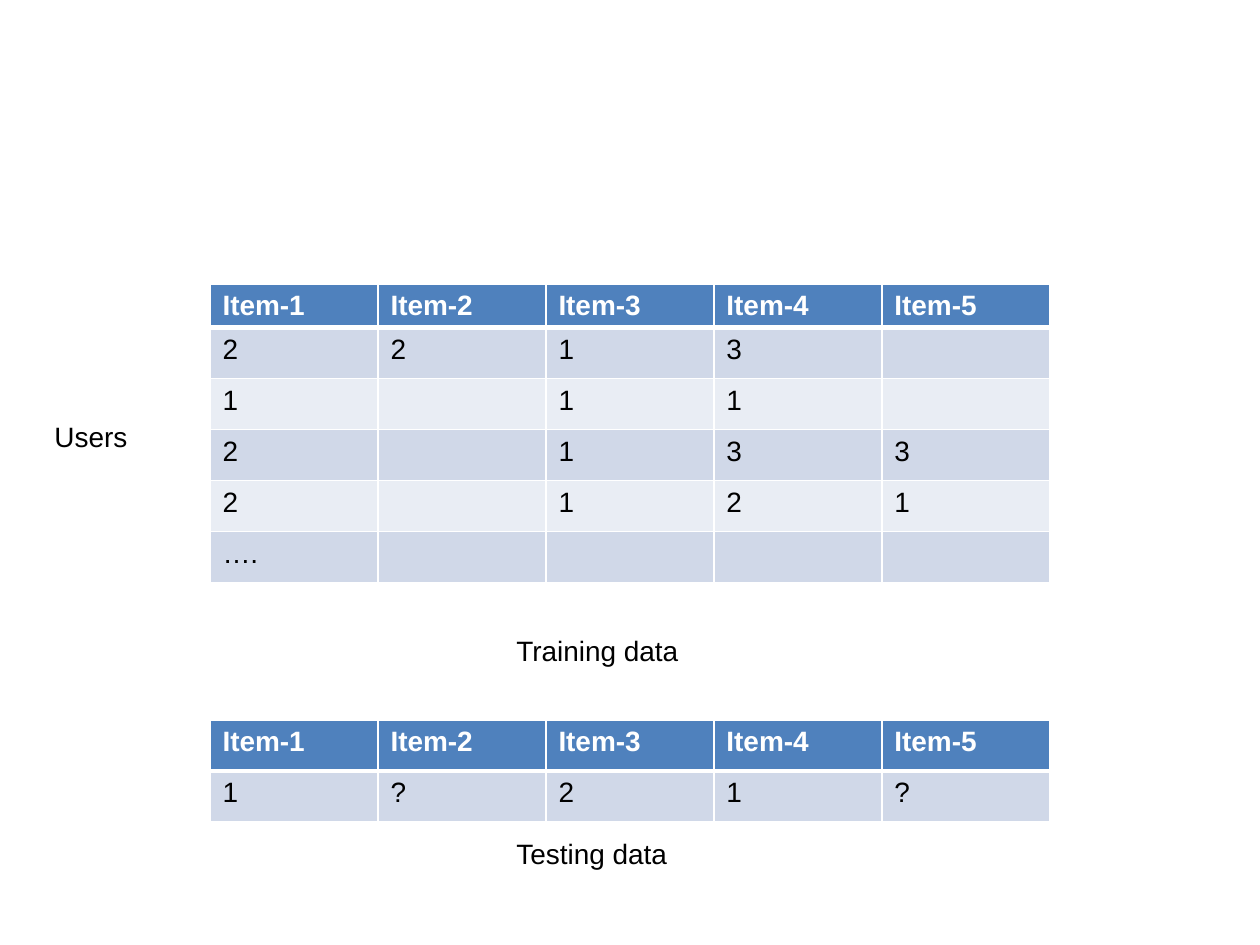
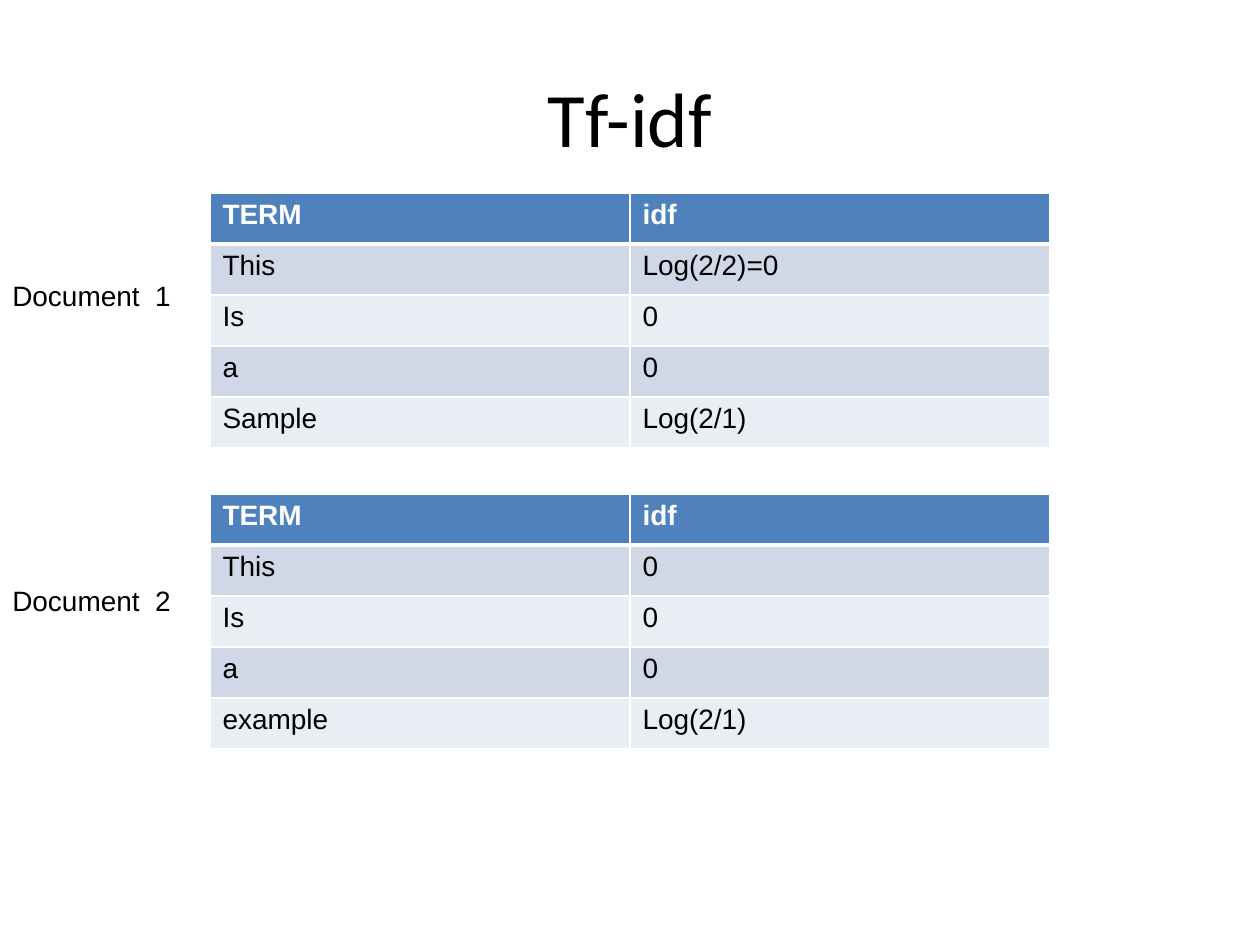
from lxml.etree import SubElement
from pptx import Presentation
from pptx.dml.color import RGBColor
from pptx.enum.text import MSO_ANCHOR, MSO_AUTO_SIZE, PP_ALIGN
from pptx.oxml.ns import qn
from pptx.util import Emu, Pt

PX = 914400 // 126
WHITE, BLACK, HEADER_BLUE = "FFFFFF", "000000", "4F81BD"
BANDS = ["D0D8E8", "E9EDF4"]
BODY = {"name": "Arial", "size": Pt(16), "bold": False, "color": BLACK}
HEADER = BODY | {"bold": True, "color": WHITE}
TITLE = {"name": "Calibri", "size": Pt(44), "bold": False, "color": BLACK}
TABLE_LEFT, TABLE_WIDTH, ROW_HEIGHT = 210, 840, 51
LABEL_HEIGHT = 46


def write(frame, text, style):
    paragraph = frame.paragraphs[0]
    paragraph.text = text
    for font in [paragraph.font] + [run.font for run in paragraph.runs]:
        for key, value in style.items():
            if key == "color":
                font.color.rgb = RGBColor.from_string(value)
            else:
                setattr(font, key, value)


def set_borders(cell, widths):
    """Draw white cell borders; widths maps L, R, T and B to points."""
    properties = cell._tc.get_or_add_tcPr()
    for side, width in widths.items():
        line = SubElement(properties, qn(f"a:ln{side}"), w=str(Pt(width)))
        SubElement(SubElement(line, qn("a:solidFill")), qn("a:srgbClr"), val=WHITE)


ITEMS = [f"Item-{number}" for number in range(1, 6)]
TERMS = ["TERM", "idf"]
SLIDES = [
    {
        "title": None,
        "tables": [
            (284, 43, [ITEMS,
                       ["2", "2", "1", "3", ""],
                       ["1", "", "1", "1", ""],
                       ["2", "", "1", "3", "3"],
                       ["2", "", "1", "2", "1"],
                       ["….", "", "", "", ""]]),
            (720, ROW_HEIGHT, [ITEMS, ["1", "?", "2", "1", "?"]]),
        ],
        "labels": [
            ("Users", 42, 413, 168),
            ("Training data", 504, 627, 336),
            ("Testing data", 504, 830, 336),
        ],
    },
    {
        "title": "Tf-idf",
        "tables": [
            (193, ROW_HEIGHT, [TERMS, ["This", "Log(2/2)=0"], ["Is", "0"],
                               ["a", "0"], ["Sample", "Log(2/1)"]]),
            (494, ROW_HEIGHT, [TERMS, ["This", "0"], ["Is", "0"],
                               ["a", "0"], ["example", "Log(2/1)"]]),
        ],
        "labels": [
            ("Document  1", 0, 272, 189),
            ("Document  2", 0, 577, 189),
        ],
    },
]

deck = Presentation()
deck.slide_width, deck.slide_height = Emu(1260 * PX), Emu(945 * PX)
TITLE_ONLY, BLANK = deck.slide_layouts[5], deck.slide_layouts[6]

for content in SLIDES:
    slide = deck.slides.add_slide(TITLE_ONLY if content["title"] else BLANK)
    slide.background.fill.solid()
    slide.background.fill.fore_color.rgb = RGBColor.from_string(WHITE)

    if content["title"]:
        heading = slide.shapes.title
        heading.left, heading.top = 63 * PX, 38 * PX
        heading.width, heading.height = 1134 * PX, 157 * PX
        heading.text_frame.vertical_anchor = MSO_ANCHOR.MIDDLE
        write(heading.text_frame, content["title"], TITLE)
        heading.text_frame.paragraphs[0].alignment = PP_ALIGN.CENTER

    for top, header_height, rows in content["tables"]:
        column_count = len(rows[0])
        height = header_height + ROW_HEIGHT * (len(rows) - 1)
        table = slide.shapes.add_table(
            len(rows), column_count, TABLE_LEFT * PX, top * PX,
            TABLE_WIDTH * PX, height * PX).table
        for column in table.columns:
            column.width = TABLE_WIDTH // column_count * PX
        for index, values in enumerate(rows):
            is_header = index == 0
            table.rows[index].height = (header_height if is_header else ROW_HEIGHT) * PX
            fill = HEADER_BLUE if is_header else BANDS[(index - 1) % 2]
            widths = {"L": 1, "R": 1, "T": 3 if index == 1 else 1, "B": 3 if is_header else 1}
            for column, value in enumerate(values):
                cell = table.cell(index, column)
                set_borders(cell, widths)
                cell.fill.solid()
                cell.fill.fore_color.rgb = RGBColor.from_string(fill)
                write(cell.text_frame, value, HEADER if is_header else BODY)

    for text, left, top, width in content["labels"]:
        label = slide.shapes.add_textbox(left * PX, top * PX, width * PX, LABEL_HEIGHT * PX)
        label.text_frame.word_wrap = True
        label.text_frame.auto_size = MSO_AUTO_SIZE.SHAPE_TO_FIT_TEXT
        write(label.text_frame, text, BODY)

deck.save("out.pptx")
